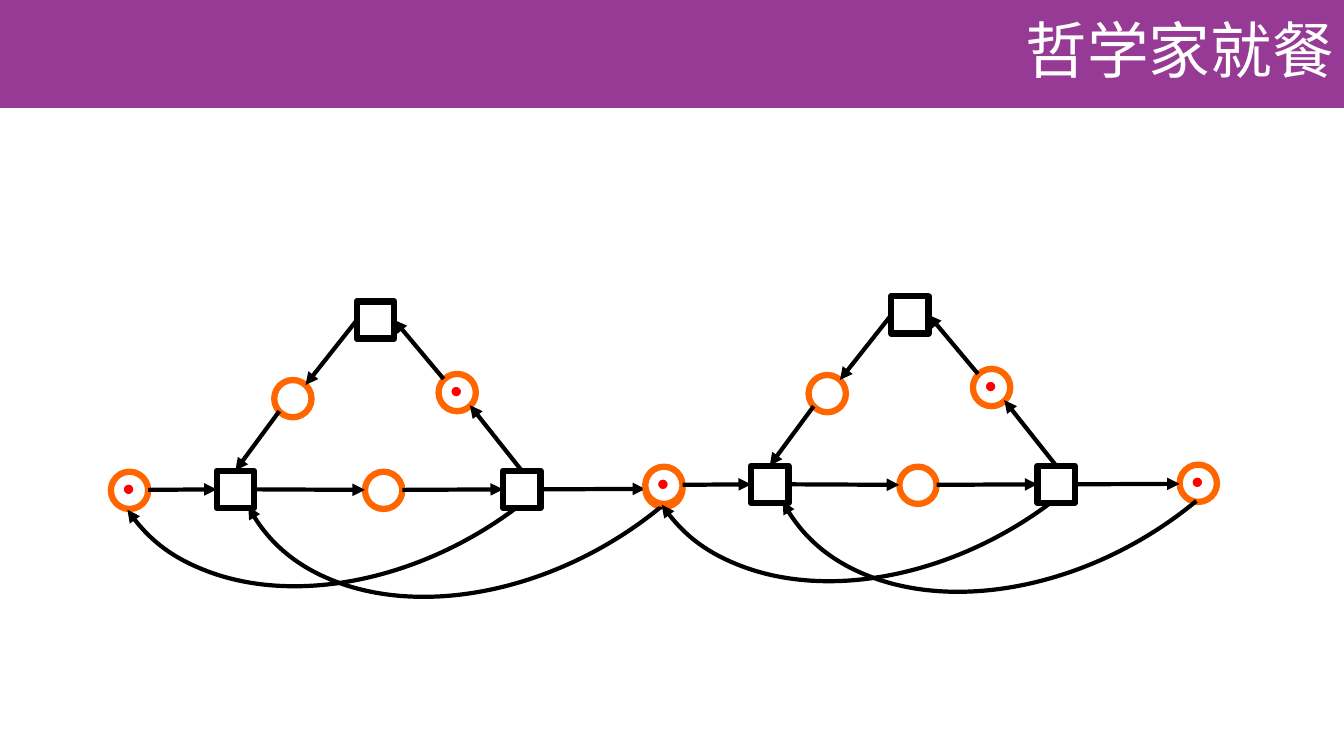
from dataclasses import dataclass

from lxml.etree import SubElement
from pptx import Presentation
from pptx.dml.color import RGBColor
from pptx.enum.shapes import MSO_CONNECTOR, MSO_SHAPE
from pptx.enum.text import MSO_ANCHOR, PP_ALIGN
from pptx.oxml.ns import qn
from pptx.util import Inches, Pt


@dataclass(frozen=True)
class Theme:
    banner: RGBColor = RGBColor(0x97, 0x3A, 0x95)
    ring: RGBColor = RGBColor(0xFF, 0x66, 0x00)
    token: RGBColor = RGBColor(0xFF, 0x00, 0x00)
    ink: RGBColor = RGBColor(0x00, 0x00, 0x00)
    paper: RGBColor = RGBColor(0xFF, 0xFF, 0xFF)
    font: str = "Noto Sans CJK SC"
    title: int = 44


theme = Theme()


def write(text, box, size, color, align):
    area = slide.shapes.add_textbox(*map(Inches, box))
    frame = area.text_frame
    frame.word_wrap = True
    frame.vertical_anchor = MSO_ANCHOR.MIDDLE
    line = frame.paragraphs[0]
    line.alignment = align
    line.line_spacing = 0.9
    run = line.add_run()
    run.text = text
    run.font.size = Pt(size)
    run.font.name = theme.font
    run.font.color.rgb = color
    SubElement(run.font._element, qn("a:ea"), typeface=theme.font)


def draw(shapes, kind, box, fill=None, edge=None, width=0, arrow=False):
    if kind is MSO_CONNECTOR.STRAIGHT:
        item = shapes.add_connector(kind, *map(Inches, box))
        SubElement(item._element.spPr, qn("a:effectLst"))
    else:
        item = shapes.add_shape(kind, *map(Inches, box))
        item.shadow.inherit = False
        if fill is None:
            item.fill.background()
        else:
            item.fill.solid()
            item.fill.fore_color.rgb = fill
    if edge is None:
        item.line.fill.background()
    else:
        item.line.color.rgb = edge
        item.line.width = Pt(width)
    if arrow:
        SubElement(item.line._get_or_add_ln(), qn("a:tailEnd"), type="triangle")
    return item


deck = Presentation()
deck.slide_width = Inches(13.33)
deck.slide_height = Inches(7.5)
slide = deck.slides.add_slide(deck.slide_layouts[6])
draw(slide.shapes, MSO_SHAPE.RECTANGLE, (0, -0.01, 13.33, 1.08), fill=theme.banner)

SIZE = 0.37
DOT = 0.11
INSET = 0.12
STEP_X, STEP_Y = 5.3, -0.05
TOP, LEFT, BOTTOM, RIGHT = range(4)

places = [
    (1.1, 4.68, True),
    (3.62, 4.68, False),
    (6.4, 4.66, True),
    (4.35, 3.71, True),
    (2.72, 3.77, False),
]
boxes = {"take": (2.15, 4.67), "drop": (4.99, 4.67), "think": (3.54, 2.99)}
flows = [
    (1.47, 4.86, 2.15, 4.85, None, ("take", LEFT)),
    (2.52, 4.85, 3.62, 4.86, ("take", RIGHT), None),
    (3.99, 4.86, 4.99, 4.85, None, ("drop", LEFT)),
    (5.36, 4.85, 6.4, 4.85, ("drop", RIGHT), None),
    (3.54, 3.17, 3.03, 3.82, ("think", LEFT), None),
    (2.77, 4.08, 2.34, 4.67, None, ("take", TOP)),
    (4.4, 3.76, 3.91, 3.17, None, ("think", RIGHT)),
    (5.17, 4.67, 4.66, 4.02, ("drop", TOP), None),
]
arcs = [
    (0.83, 1.51, 5.73, 4.07, 153.6, 214.88),
    (2.11, 1.61, 5.76, 4.07, 150.67, 0.84),
]

for turn in range(2):
    dx, dy = turn * STEP_X, turn * STEP_Y
    net = slide.shapes.add_group_shape().shapes
    for x, y, full in places:
        x, y = x + dx, y + dy
        draw(net, MSO_SHAPE.OVAL, (x, y, SIZE, SIZE), theme.paper, theme.ring, 4.5)
        if full:
            spot = (x + INSET, y + INSET, DOT, DOT)
            draw(net, MSO_SHAPE.OVAL, spot, theme.token, theme.paper, 1)
    nodes = {}
    for name, (x, y) in boxes.items():
        area = (x + dx, y + dy, SIZE, SIZE)
        nodes[name] = draw(net, MSO_SHAPE.RECTANGLE, area, theme.paper, theme.ink, 4.5)
    for x1, y1, x2, y2, start, end in flows:
        ends = (x1 + dx, y1 + dy, x2 + dx, y2 + dy)
        link = draw(net, MSO_CONNECTOR.STRAIGHT, ends, edge=theme.ink, width=3, arrow=True)
        if start:
            link.begin_connect(nodes[start[0]], start[1])
        if end:
            link.end_connect(nodes[end[0]], end[1])
    for x, y, w, h, first, last in arcs:
        area = (x + dx, y + dy, w, h)
        arc = draw(net, MSO_SHAPE.ARC, area, edge=theme.ink, width=3, arrow=True)
        arc.rotation = 150
        arc.adjustments[0] = first
        arc.adjustments[1] = last

write("哲学家就餐", box=(10, 0, 3.33, 1.07), size=theme.title,
      color=theme.paper, align=PP_ALIGN.RIGHT)

deck.save("out.pptx")
